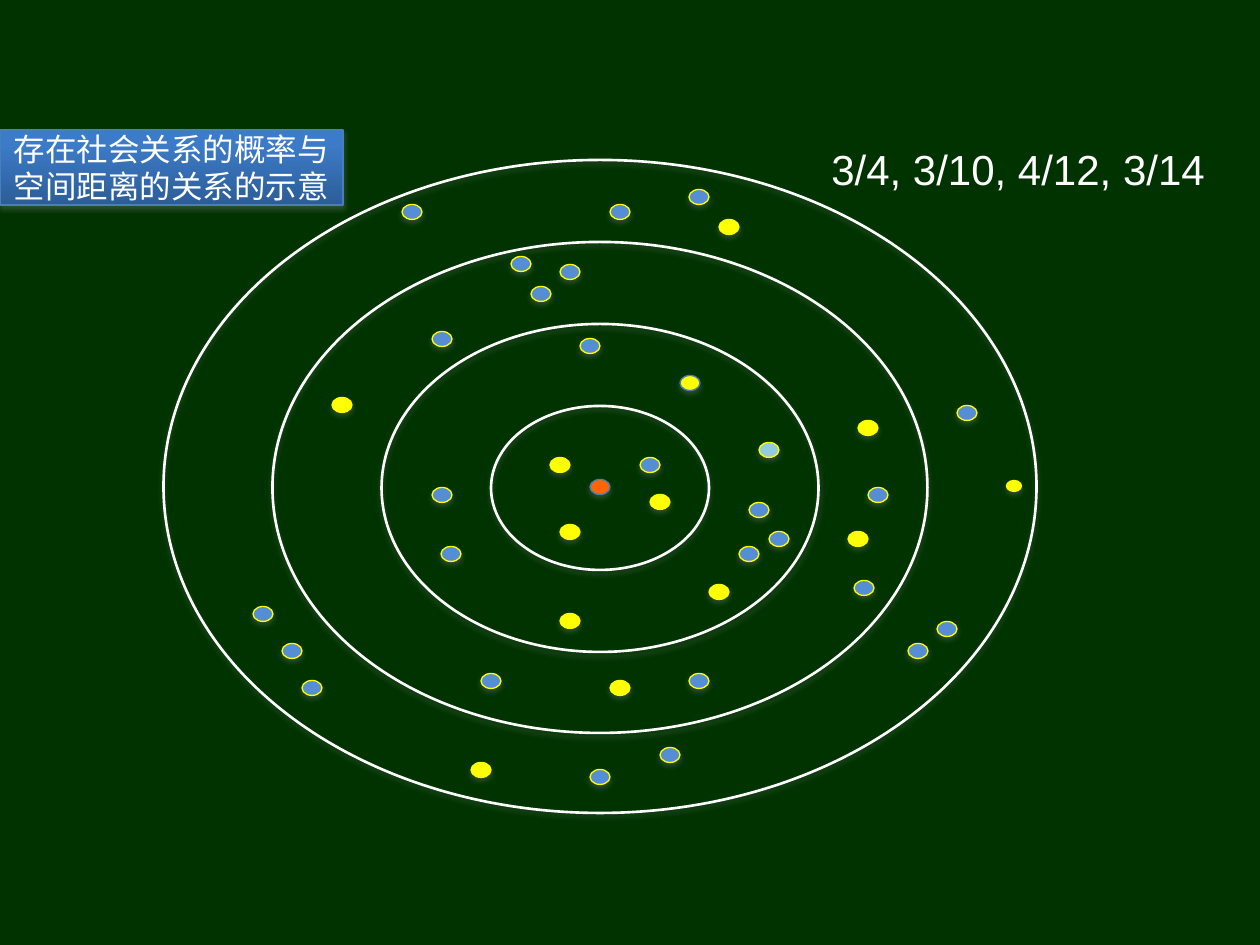
import copy
from dataclasses import dataclass

import lxml.etree
import pptx
import pptx.dml.color
import pptx.enum.shapes
import pptx.enum.text
import pptx.oxml.ns
import pptx.util

EMU_PER_PX = 914400 / 126
SHAPES = pptx.enum.shapes.MSO_SHAPE
WHITE, YELLOW, BLUE, PALE_BLUE = "FFFFFF", "FFFF00", "558ED5", "93CDDD"
ORANGE, EDGE_BLUE, GREEN = "FF6600", "4A7EBB", "003300"
CENTRE_X, CENTRE_Y, RING_STEP = 600, 488, 82
RING_SIZES = [(218, 164), (437, 328), (655, 491), (873, 653)]


@dataclass(frozen=True)
class Person:
    x: int
    y: int
    fill: str
    edge: str = YELLOW
    width: int = 20
    height: int = 15


@dataclass(frozen=True)
class Zone:
    acquainted: list[tuple[int, int]]
    strangers: list[tuple[int, int]]


ZONES = [
    Zone([(560, 465), (570, 532), (660, 502)], [(650, 465)]),
    Zone(
        [(719, 592), (570, 621)],
        [(590, 346), (759, 510), (779, 539), (749, 554), (442, 495), (451, 554)],
    ),
    Zone(
        [(342, 405), (868, 428), (858, 539), (620, 688)],
        [(521, 264), (570, 272), (541, 294), (442, 339),
         (878, 495), (864, 588), (699, 681), (491, 681)],
    ),
    Zone(
        [(729, 227), (481, 770)],
        [(412, 212), (620, 212), (699, 197), (967, 413), (947, 629), (918, 651),
         (670, 755), (600, 777), (263, 614), (292, 651), (312, 688)],
    ),
]
SPECIAL_PEOPLE = [
    Person(CENTRE_X, 487, ORANGE, EDGE_BLUE),
    Person(690, 383, YELLOW, EDGE_BLUE),
    Person(769, 450, PALE_BLUE),
    Person(1014, 486, YELLOW, width=15, height=11),
]


def px(length: float) -> int:
    return round(length * EMU_PER_PX)


def rgb(colour: str) -> pptx.dml.color.RGBColor:
    return pptx.dml.color.RGBColor.from_string(colour)


def add_shadow(shape) -> None:
    shape.shadow.inherit = False
    effects = shape._element.spPr.find(pptx.oxml.ns.qn("a:effectLst"))
    shadow = lxml.etree.SubElement(
        effects, pptx.oxml.ns.qn("a:outerShdw"),
        blurRad="40000", dist="23000", dir="5400000", rotWithShape="0",
    )
    tint = lxml.etree.SubElement(shadow, pptx.oxml.ns.qn("a:srgbClr"), val="808080")
    lxml.etree.SubElement(tint, pptx.oxml.ns.qn("a:alpha"), val="35000")


def add_outlined(slide, kind, left: float, top: float, width: int, height: int,
                 edge: str, weight: float):
    shape = slide.shapes.add_shape(kind, px(left), px(top), px(width), px(height))
    shape.line.color.rgb = rgb(edge)
    shape.line.width = pptx.util.Pt(weight)
    add_shadow(shape)
    return shape


def add_ring(slide, order: int, width: int, height: int) -> None:
    ring = add_outlined(slide, SHAPES.OVAL, CENTRE_X - width / 2,
                        CENTRE_Y - RING_STEP * order, width, height, WHITE, 1.5)
    ring.fill.background()


def add_person(slide, person: Person) -> None:
    dot = add_outlined(slide, SHAPES.OVAL, person.x - person.width / 2,
                       person.y - person.height / 2, person.width, person.height,
                       person.edge, 0.75)
    dot.fill.solid()
    dot.fill.fore_color.rgb = rgb(person.fill)


def write(shape, text: str, size: int) -> None:
    frame = shape.text_frame
    frame.word_wrap = True
    frame.text = text
    font = frame.paragraphs[0].runs[0].font
    font.name, font.size = "Arial", pptx.util.Pt(size)
    font.color.rgb = rgb(WHITE)


def add_title(slide) -> None:
    title = add_outlined(slide, SHAPES.RECTANGLE, 0, 130, 343, 75, EDGE_BLUE, 0.75)
    title.fill.gradient()
    title.fill.gradient_angle = 270
    stops = title._element.spPr.find(".//" + pptx.oxml.ns.qn("a:gsLst"))
    stops.insert(1, copy.deepcopy(stops[0]))
    shades = [(0, "3A7CCB"), (0.2, "3C7BC7"), (1, "2C5D98")]
    for stop, (position, colour) in zip(title.fill.gradient_stops, shades):
        stop.position = position
        stop.color.rgb = rgb(colour)
    write(title, "存在社会关系的概率与空间距离的关系的示意", 18)
    title.text_frame.vertical_anchor = pptx.enum.text.MSO_ANCHOR.MIDDLE
    title.text_frame.paragraphs[0].alignment = pptx.enum.text.PP_ALIGN.CENTER


def add_ratios(slide) -> None:
    ratios = slide.shapes.add_textbox(px(819), px(137), px(417), px(64))
    write(ratios, "3/4, 3/10, 4/12, 3/14", 24)
    ratios.text_frame.auto_size = pptx.enum.text.MSO_AUTO_SIZE.SHAPE_TO_FIT_TEXT


def main() -> None:
    deck = pptx.Presentation()
    deck.slide_width, deck.slide_height = px(1260), px(945)
    slide = deck.slides.add_slide(deck.slide_layouts[6])
    slide.background.fill.solid()
    slide.background.fill.fore_color.rgb = rgb(GREEN)

    for order, (width, height) in enumerate(RING_SIZES, start=1):
        add_ring(slide, order, width, height)
    for zone in ZONES:
        for places, fill in ((zone.acquainted, YELLOW), (zone.strangers, BLUE)):
            for x, y in places:
                add_person(slide, Person(x, y, fill))
    for person in SPECIAL_PEOPLE:
        add_person(slide, person)
    add_ratios(slide)
    add_title(slide)
    deck.save("out.pptx")


if __name__ == "__main__":
    main()
